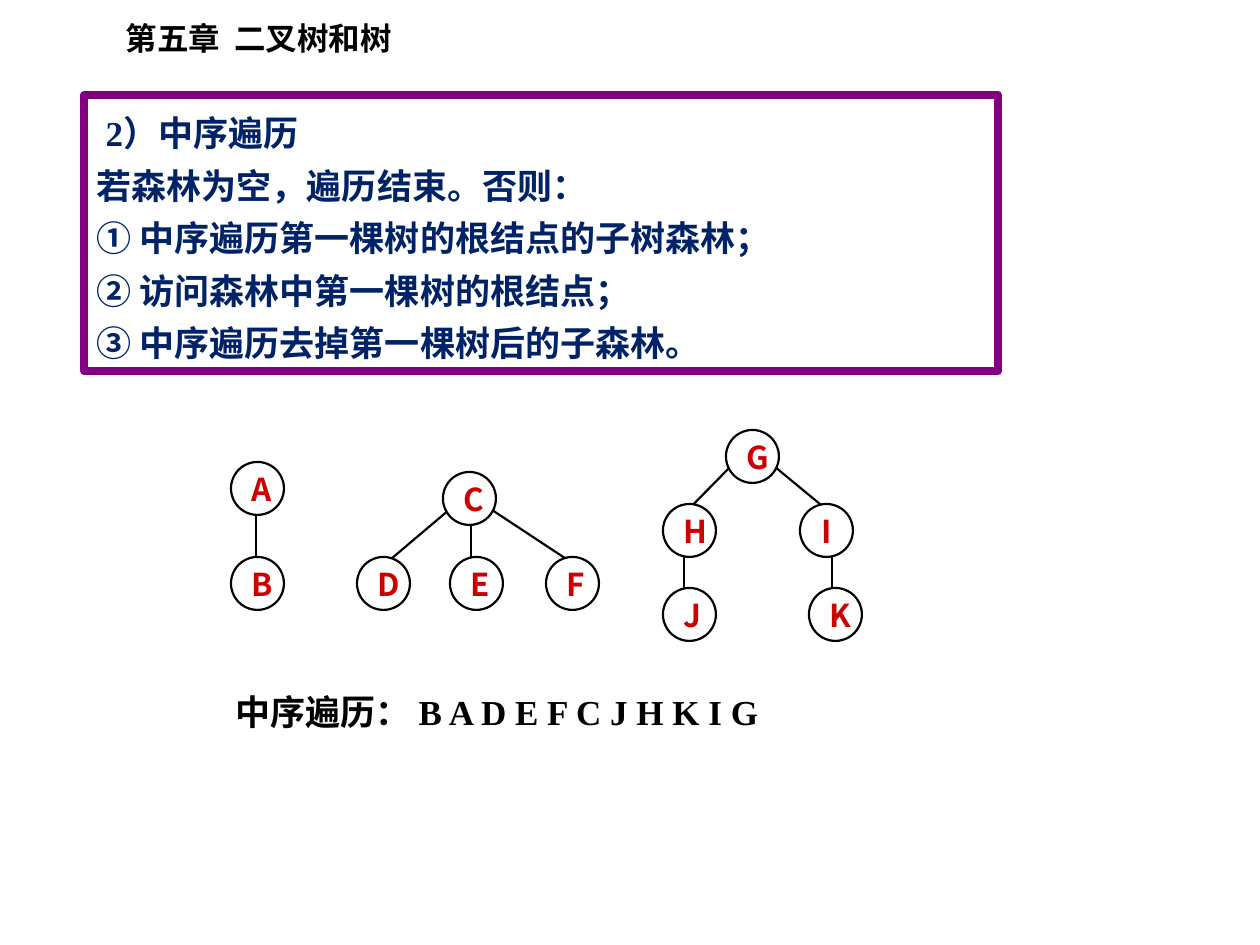
from typing import NamedTuple

from lxml.etree import SubElement
from pptx import Presentation
from pptx.dml.color import RGBColor
from pptx.enum.shapes import MSO_CONNECTOR, MSO_SHAPE
from pptx.enum.text import MSO_ANCHOR, MSO_AUTO_SIZE, PP_ALIGN
from pptx.oxml.ns import qn
from pptx.util import Emu, Pt

PX_PER_INCH = 126
NODE_SIZE = 53
SERIF = "Times New Roman"
SANS = "Noto Sans CJK SC"
BLACK, WHITE, NAVY, PURPLE, RED = "000000", "FFFFFF", "002368", "800080", "CC0000"


class Node(NamedTuple):
    label: str
    left: int
    top: int


class Edge(NamedTuple):
    x1: int
    y1: int
    x2: int
    y2: int


RULES = [
    "2）中序遍历",
    "若森林为空，遍历结束。否则：",
    "① 中序遍历第一棵树的根结点的子树森林；",
    "② 访问森林中第一棵树的根结点；",
    "③ 中序遍历去掉第一棵树后的子森林。",
]
EDGES = [
    Edge(256, 504, 256, 570),
    Edge(483, 504, 583, 570),
    Edge(456, 504, 378, 570),
    Edge(471, 514, 471, 567),
    Edge(684, 546, 684, 599),
    Edge(735, 462, 684, 514),
    Edge(769, 462, 832, 514),
    Edge(832, 599, 832, 546),
]
NODES = [
    Node("A", 231, 462), Node("B", 231, 557),
    Node("D", 357, 557), Node("E", 450, 557), Node("F", 546, 557), Node("C", 443, 472),
    Node("G", 726, 430), Node("H", 663, 504), Node("I", 800, 504),
    Node("J", 663, 588), Node("K", 809, 588),
]


def px(length: int) -> Emu:
    return Emu(round(length * 914400 / PX_PER_INCH))


def color(value: str) -> RGBColor:
    return RGBColor.from_string(value)


def place(shape, left: int, top: int, width: int, height: int) -> None:
    shape.left, shape.top = px(left), px(top)
    shape.width, shape.height = px(width), px(height)


def outline(shape, value: str, points: float) -> None:
    shape.line.color.rgb = color(value)
    shape.line.width = Pt(points)


def format_text(shape, size: int, value: str, latin: str = SERIF, spacing: float = 1.0,
                align=PP_ALIGN.LEFT, anchor=MSO_ANCHOR.TOP, wrap: bool = True) -> None:
    frame = shape.text_frame
    frame.auto_size = MSO_AUTO_SIZE.NONE
    frame.word_wrap = wrap
    frame.vertical_anchor = anchor
    for paragraph in frame.paragraphs:
        paragraph.alignment = align
        paragraph.line_spacing = spacing
        paragraph.space_before = Pt(0)
        for span in paragraph.runs:
            font = span.font
            font.size, font.bold, font.name = Pt(size), True, latin
            font.color.rgb = color(value)
            SubElement(font._element, qn("a:ea")).set("typeface", SANS)


def add_rules(box) -> None:
    place(box, 84, 95, 914, 276)
    outline(box, PURPLE, 4.5)
    box.text_frame.text = "\n".join(RULES)
    format_text(box, 20, NAVY, spacing=1.25)
    for index, paragraph in enumerate(box.text_frame.paragraphs):
        properties = paragraph._p.get_or_add_pPr()
        properties.set("marL", "0")
        properties.set("indent", str(px(9) if index == 0 else 0))
        SubElement(properties, qn("a:buNone"))


def add_edge(page, edge: Edge) -> None:
    line = page.shapes.add_connector(MSO_CONNECTOR.STRAIGHT, *map(px, edge))
    outline(line, BLACK, 1.25)
    SubElement(line._element.spPr, qn("a:effectLst"))


def add_node(page, node: Node) -> None:
    circle = page.shapes.add_shape(
        MSO_SHAPE.OVAL, px(node.left), px(node.top), px(NODE_SIZE), px(NODE_SIZE))
    circle.shadow.inherit = False
    circle.fill.solid()
    circle.fill.fore_color.rgb = color(WHITE)
    outline(circle, BLACK, 1.25)
    circle.text_frame.text = node.label
    format_text(circle, 18, RED, latin=SANS, align=PP_ALIGN.CENTER, anchor=MSO_ANCHOR.MIDDLE)


def main() -> None:
    deck = Presentation()
    deck.slide_width, deck.slide_height = px(1260), px(945)
    page = deck.slides.add_slide(deck.slide_layouts[1])

    title = page.shapes.title
    place(title, 113, 13, 306, 50)
    title.text_frame.text = "第五章  二叉树和树"
    format_text(title, 18, BLACK)

    add_rules(page.placeholders[1])
    for edge in EDGES:
        add_edge(page, edge)
    for node in NODES:
        add_node(page, node)

    answer = page.shapes.add_textbox(px(223), px(672), px(571), px(68))
    answer.text_frame.text = "中序遍历： B A D E F C J H K I G"
    format_text(answer, 20, BLACK, spacing=1.3, wrap=False)

    deck.save("out.pptx")


if __name__ == "__main__":
    main()
